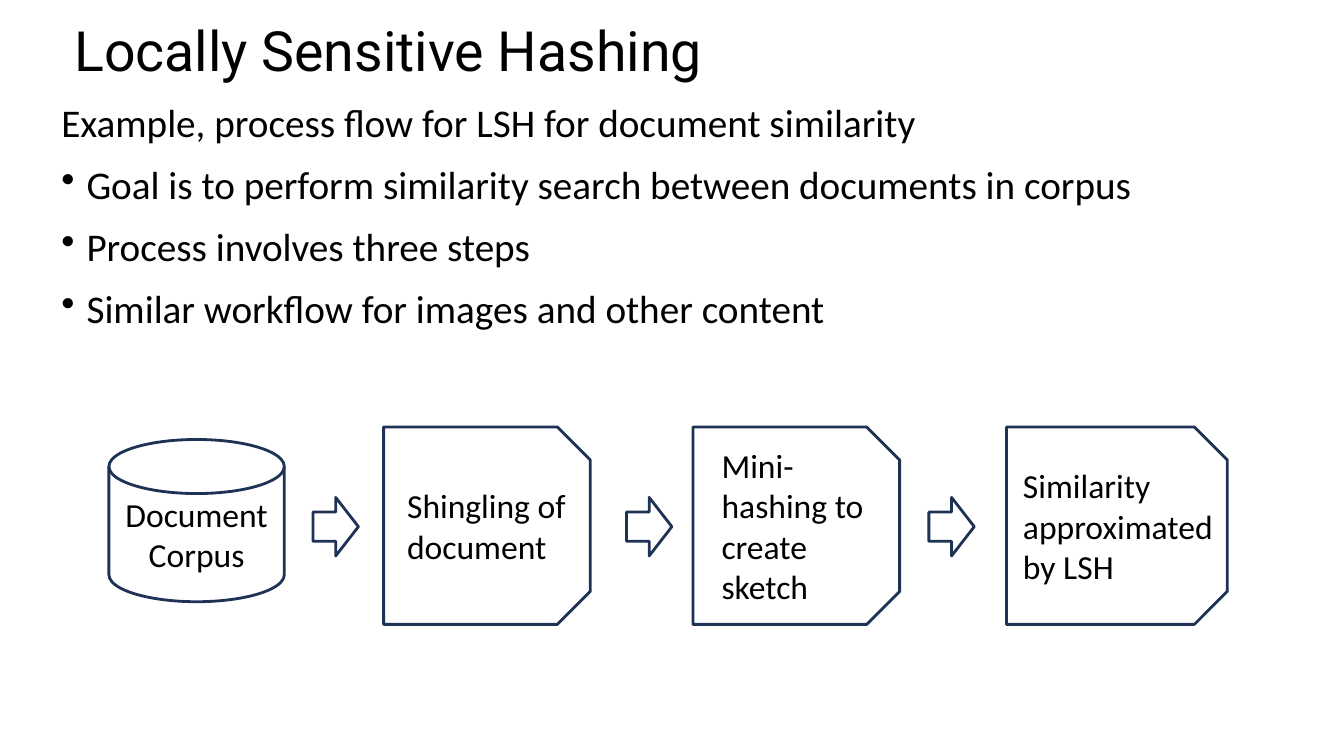
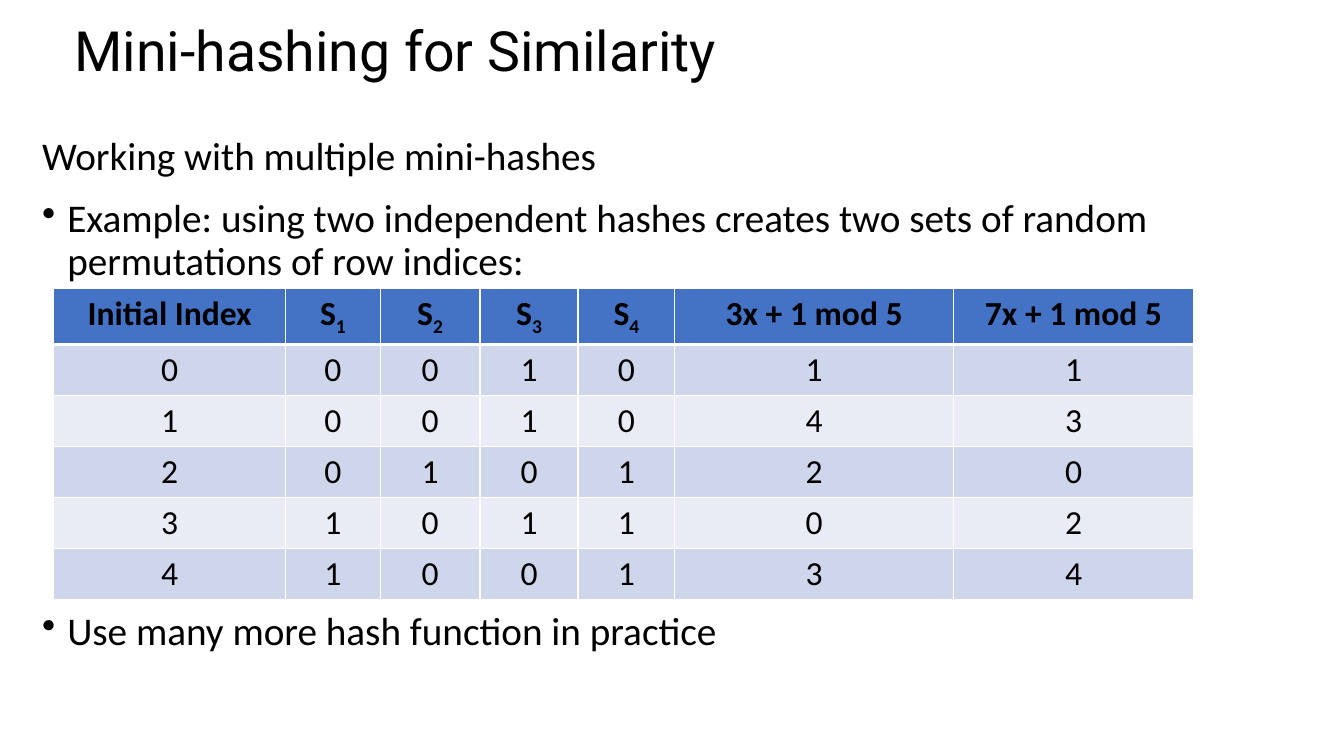
import pptx
import pptx.dml.color
import pptx.enum.shapes
import pptx.enum.text
import pptx.oxml
import pptx.oxml.ns
import pptx.util
import lxml.etree

Pt = pptx.util.Pt
RGB = pptx.dml.color.RGBColor.from_string
SHAPE = pptx.enum.shapes.MSO_SHAPE
ALIGN = pptx.enum.text.PP_ALIGN
MIDDLE = pptx.enum.text.MSO_ANCHOR.MIDDLE
qn = pptx.oxml.ns.qn

COLORS = {
    "text": "000000",
    "outline": "1E3256",
    "header": "4472C4",
    "odd_row": "CFD5EA",
    "even_row": "E9EBF5",
    "border": "FFFFFF",
}


def write(tf, lines, size, font="Calibri", anchor=None):
    """Fill a text frame with one paragraph per line and return the paragraphs."""
    tf.word_wrap = True
    tf.vertical_anchor = anchor
    tf.text = "\n".join(lines)
    for p in tf.paragraphs:
        p.font.size = Pt(size)
        p.font.name = font
        p.font.color.rgb = RGB(COLORS["text"])
    return tf.paragraphs


def add_outline(s, kind, left, top, width, height):
    sp = s.shapes.add_shape(kind, Pt(left), Pt(top), Pt(width), Pt(height))
    sp.shadow.inherit = False
    sp.fill.background()
    sp.line.color.rgb = RGB(COLORS["outline"])
    sp.line.width = Pt(2)
    return sp


prs = pptx.Presentation()
prs.slide_width, prs.slide_height = Pt(960), Pt(540)

# Title and body of both slides: the first line is a lead-in, the rest are bullets
contents = [
    ("Locally Sensitive Hashing", (36.7, 70.6, 871, 211), [
        "Example, process flow for LSH for document similarity",
        "Goal is to perform similarity search between documents in corpus",
        "Process involves three steps",
        "Similar workflow for images and other content",
    ]),
    ("Mini-hashing for Similarity", (23, 94.3, 907, 411), [
        "Working with multiple mini-hashes",
        "Example: using two independent hashes creates two sets of random "
        "permutations of row indices:",
        "Use many more hash function in practice",
    ]),
]
slides, bodies = [], []
for title, box, lines in contents:
    s = prs.slides.add_slide(prs.slide_layouts[6])
    tb = s.shapes.add_textbox(Pt(46), Pt(17.3), Pt(828), Pt(41.8))
    write(tb.text_frame, [title], 39.6, "Roboto", MIDDLE)[0].line_spacing = 0.9

    tb = s.shapes.add_textbox(*map(Pt, box))
    body = write(tb.text_frame, lines, 28)
    for i, p in enumerate(body):
        p.line_spacing = 0.9
        p.space_before = Pt(14)
        if i > 0:
            pPr = p._p.get_or_add_pPr()
            pPr.set("marL", str(Pt(18)))
            pPr.set("indent", str(-Pt(18)))
            bullet = pptx.oxml.parse_xml(
                '<a:buChar xmlns:a="http://schemas.openxmlformats.org/drawingml/2006/main" char="•"/>')
            pPr.insert_element_before(bullet, "a:tabLst", "a:defRPr", "a:extLst")
    slides.append(s)
    bodies.append(body)

flow_slide, table_slide = slides

# Process flow: corpus, then three steps, with block arrows between
mid_y = 375.5
corpus = add_outline(flow_slide, SHAPE.FLOWCHART_MAGNETIC_DISK, 77.8, 313.9, 125.3, 115.9)
write(corpus.text_frame, ["Document Corpus"], 24, anchor=MIDDLE)[0].alignment = ALIGN.CENTER

card_height, label_height = 141, 124
steps = [  # text, card centre, card width, label left, label width
    ("Shingling of document", 347.8, 147.6, 283.7, 129),
    ("Mini-hashing to create sketch", 568.8, 147.6, 508.3, 129),
    ("Similarity approximated by LSH", 797.8, 157.7, 723.6, 150.5),
]
for text, center, width, label_left, label_width in steps:
    # The snipped corners face right after a quarter turn
    card = add_outline(flow_slide, SHAPE.SNIP_2_SAME_RECTANGLE,
                       center - card_height / 2, mid_y - width / 2, card_height, width)
    card.rotation = 90
    tb = flow_slide.shapes.add_textbox(Pt(label_left), Pt(mid_y - label_height / 2),
                                       Pt(label_width), Pt(label_height))
    write(tb.text_frame, [text], 24, anchor=MIDDLE)

for left in (223.6, 447.5, 663.5):
    add_outline(flow_slide, SHAPE.RIGHT_ARROW, left, 355.3, 32.4, 41.8)

# The last bullet stands below the table
bodies[1][-1].space_before = Pt(234)

header = ["Initial Index", "S1", "S2", "S3", "S4", "3x + 1 mod 5", "7x + 1 mod 5"]
rows = [
    header,
    [0, 0, 0, 1, 0, 1, 1],
    [1, 0, 0, 1, 0, 4, 3],
    [2, 0, 1, 0, 1, 2, 0],
    [3, 1, 0, 1, 1, 0, 2],
    [4, 1, 0, 0, 1, 3, 4],
]
col_widths = [165.8, 67.5, 71.3, 70, 69.2, 199, 171.5]
header_height, row_height = 39, 36.4
table = table_slide.shapes.add_table(
    len(rows), len(header), Pt(38.3), Pt(206.1), Pt(sum(col_widths)),
    Pt(header_height + row_height * (len(rows) - 1))).table
for col, width in zip(table.columns, col_widths):
    col.width = Pt(width)

for i, values in enumerate(rows):
    table.rows[i].height = Pt(row_height if i else header_height)
    fill = "header" if i == 0 else "odd_row" if i % 2 else "even_row"
    for j, value in enumerate(values):
        cell = table.cell(i, j)
        text = str(value)
        is_set = text.startswith("S")
        p = write(cell.text_frame, [text[0] if is_set else text], 24)[0]
        p.alignment = ALIGN.CENTER
        p.font.bold = i == 0
        if is_set:
            r = p.add_run()
            r.text = text[1]
            r._r.get_or_add_rPr().set("baseline", "-25000")

        tcPr = cell._tc.get_or_add_tcPr()
        for side in ("lnL", "lnR", "lnT", "lnB"):
            thick = (i == 0 and side == "lnB") or (i == 1 and side == "lnT")
            ln = lxml.etree.SubElement(tcPr, qn("a:" + side), w=str(Pt(3 if thick else 1)))
            solid = lxml.etree.SubElement(ln, qn("a:solidFill"))
            lxml.etree.SubElement(solid, qn("a:srgbClr"), val=COLORS["border"])
        cell.fill.solid()
        cell.fill.fore_color.rgb = RGB(COLORS[fill])

prs.save("out.pptx")
